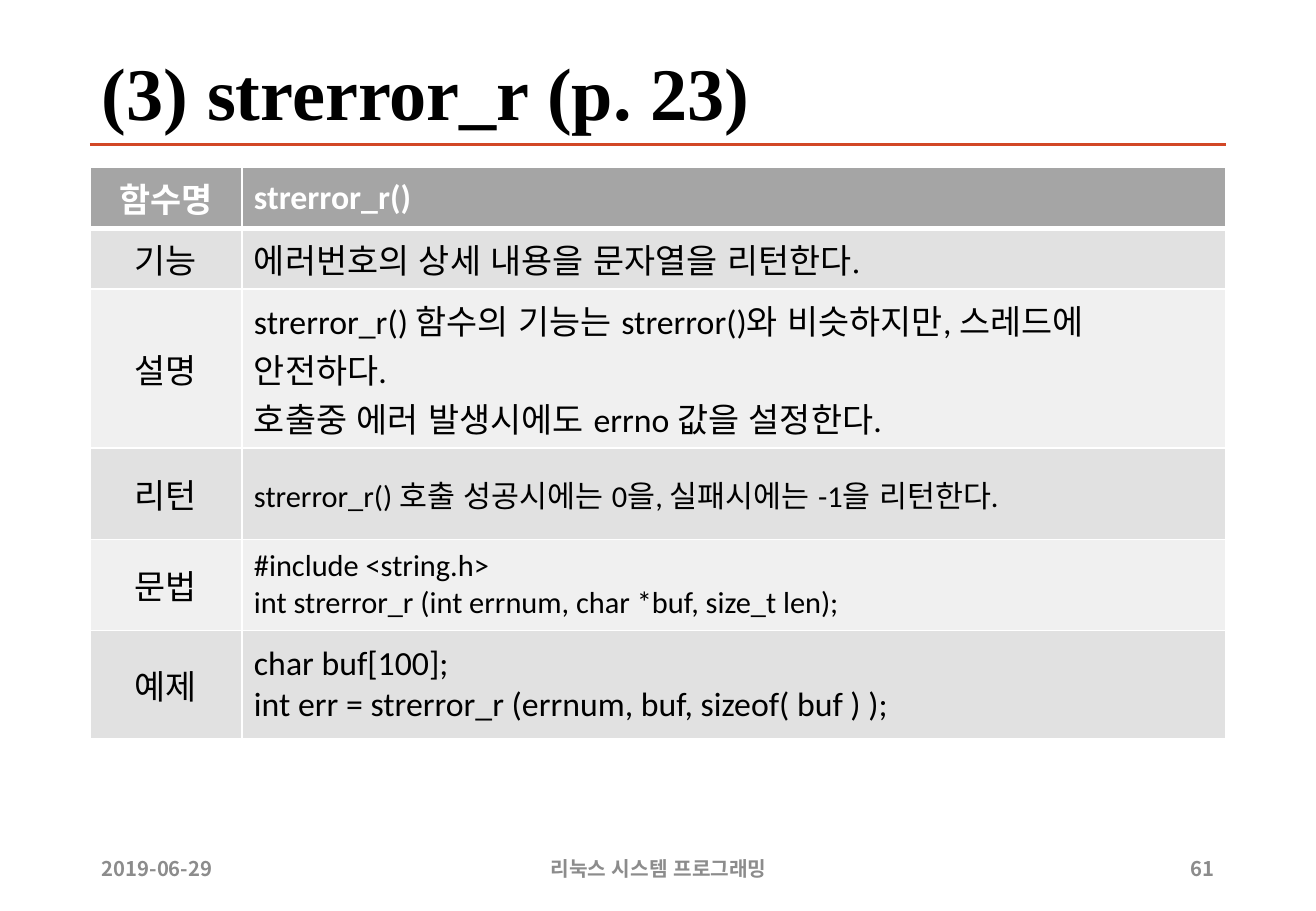
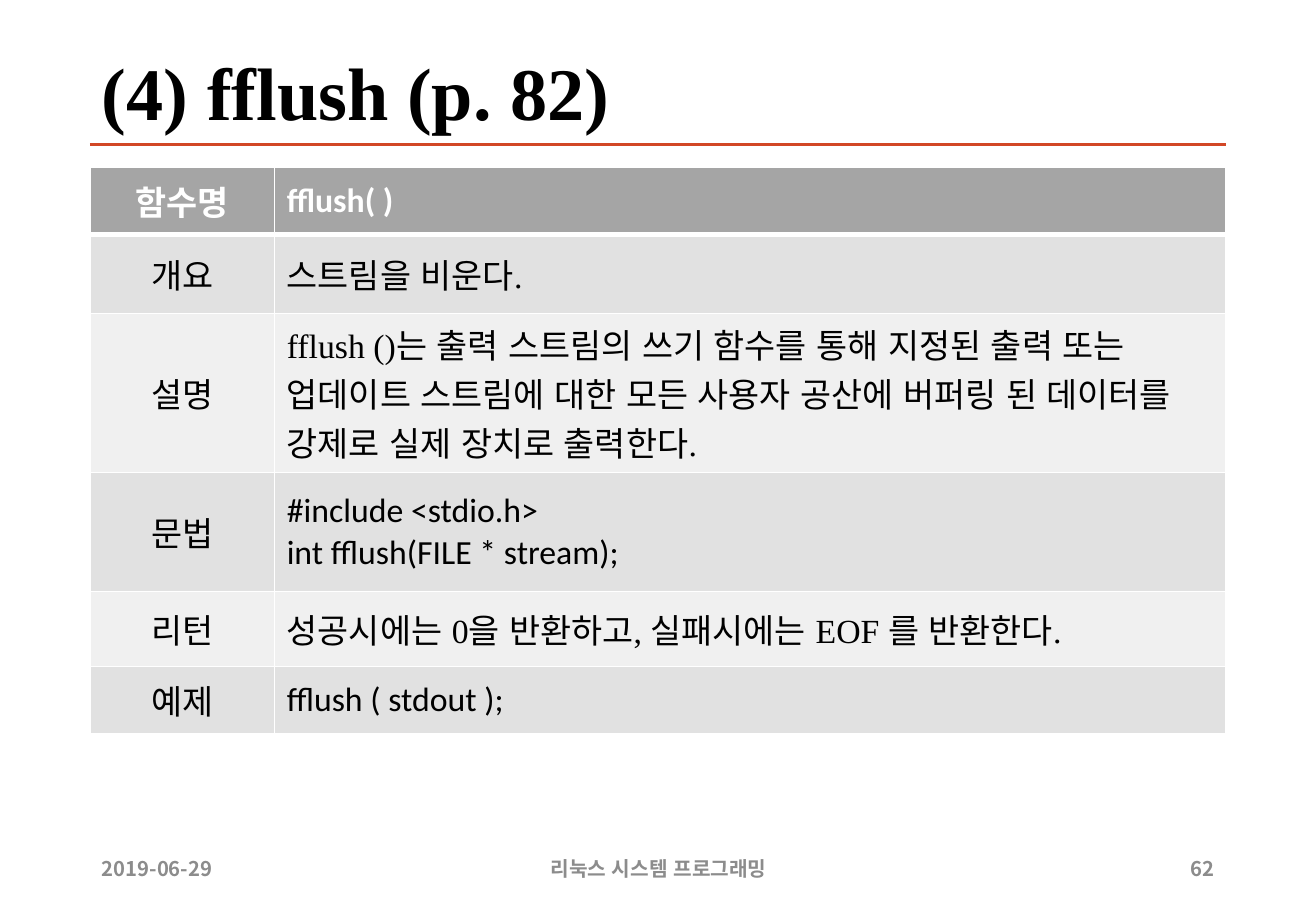
from dataclasses import dataclass

from lxml.etree import SubElement
from pptx import Presentation
from pptx.dml.color import RGBColor
from pptx.enum.lang import MSO_LANGUAGE_ID as Language
from pptx.enum.shapes import MSO_CONNECTOR as Connector
from pptx.enum.text import MSO_ANCHOR as Anchor, PP_ALIGN as Align
from pptx.oxml.ns import qn
from pptx.slide import Slide
from pptx.table import _Cell as Cell
from pptx.text.text import TextFrame
from pptx.util import Inches, Pt

# Shared style
WHITE = RGBColor(0xFF, 0xFF, 0xFF)
BLACK = RGBColor(0, 0, 0)
RULE_ORANGE = RGBColor(0xD2, 0x47, 0x26)
FOOTER_GRAY = RGBColor(0x8C, 0x8C, 0x8C)
HEADER_FILL = RGBColor(0xA5, 0xA5, 0xA5)
BAND_FILLS = (RGBColor(0xF0, 0xF0, 0xF0), RGBColor(0xE1, 0xE1, 0xE1))
SANS, SERIF, KOREAN = "Calibri", "Times New Roman", "Noto Sans CJK KR"
LEFT, WIDTH = 0.74, 9.35
THREE_LINES = 1.31
DATE, COURSE = "2019-06-29", "리눅스 시스템 프로그래밍"


@dataclass(frozen=True)
class Row:
    height: float
    label: str
    text: str
    font: str = SANS
    size: int = 20


@dataclass(frozen=True)
class FunctionPage:
    number: int
    title: str
    label_width: float
    rows: tuple[Row, ...]


PAGES = (
    FunctionPage(61, "(3) strerror_r (p. 23)", 1.25, (
        Row(0.5, "함수명", "strerror_r()"),
        Row(0.5, "기능", "에러번호의 상세 내용을 문자열을 리턴한다.", SERIF),
        Row(THREE_LINES, "설명",
            "strerror_r() 함수의 기능는 strerror()와 비슷하지만, 스레드에 안전하다.\n"
            "호출중 에러 발생시에도 errno 값을 설정한다."),
        Row(0.75, "리턴", "strerror_r() 호출 성공시에는 0을, 실패시에는 -1을 리턴한다.", size=18),
        Row(0.75, "문법", "#include <string.h>\n"
                        "int strerror_r (int errnum, char *buf, size_t len);", size=18),
        Row(0.89, "예제", "char buf[100];\n"
                        "int err = strerror_r (errnum, buf, sizeof( buf ) );"),
    )),
    FunctionPage(62, "(4) fflush (p. 82)", 1.52, (
        Row(0.55, "함수명", "fflush( )"),
        Row(0.65, "개요", "스트림을 비운다.", SERIF),
        Row(THREE_LINES, "설명",
            "fflush ()는 출력 스트림의 쓰기 함수를 통해 지정된 출력 또는 업데이트 스트림에 "
            "대한 모든 사용자 공산에 버퍼링 된 데이터를 강제로 실제 장치로 출력한다.", SERIF),
        Row(0.98, "문법", "#include <stdio.h>\nint fflush(FILE * stream);"),
        Row(0.62, "리턴", "성공시에는 0을 반환하고, 실패시에는 EOF 를 반환한다.", SERIF),
        Row(0.55, "예제", "fflush ( stdout );"),
    )),
)


def write_text(frame: TextFrame, text: str, *, font: str = SANS, size: int = 20,
               color: RGBColor = BLACK, bold: bool = False,
               align: Align = Align.LEFT, line_spacing: float = 1.0) -> None:
    frame.word_wrap = True
    for index, line in enumerate(text.split("\n")):
        paragraph = frame.add_paragraph() if index else frame.paragraphs[0]
        paragraph.alignment = align
        paragraph.line_spacing = line_spacing
        run = paragraph.add_run()
        run.text = line
        run.font.name, run.font.size, run.font.bold = font, Pt(size), bold
        run.font.color.rgb = color
        run.font.language_id = Language.KOREAN
        SubElement(run.font._element, qn("a:ea"), typeface=KOREAN)


def add_text(slide: Slide, text: str, left: float, top: float, width: float,
             height: float, **text_format) -> None:
    box = slide.shapes.add_textbox(Inches(left), Inches(top), Inches(width), Inches(height))
    box.text_frame.vertical_anchor = Anchor.MIDDLE
    write_text(box.text_frame, text, **text_format)


def set_borders(cell: Cell, top: int, bottom: int) -> None:
    properties = cell._tc.get_or_add_tcPr()
    for side, points in (("L", 1), ("R", 1), ("T", top), ("B", bottom)):
        line = SubElement(properties, qn(f"a:ln{side}"), w=str(Pt(points)))
        SubElement(SubElement(line, qn("a:solidFill")), qn("a:srgbClr"), val=str(WHITE))


def add_frame(slide: Slide, page: FunctionPage) -> None:
    # Title and rule
    add_text(slide, page.title, LEFT, 0.4, WIDTH, 0.79,
             font=SERIF, size=44, bold=True, line_spacing=0.9)
    rule = slide.shapes.add_connector(Connector.STRAIGHT, Inches(LEFT), Inches(1.19),
                                      Inches(LEFT + WIDTH), Inches(1.19))
    rule.line.color.rgb, rule.line.width = RULE_ORANGE, Pt(2)
    SubElement(rule._element.spPr, qn("a:effectLst"))

    # Footer
    for text, left, width, align in ((DATE, LEFT, 1.27, Align.LEFT),
                                     (COURSE, 3.59, 3.66, Align.CENTER),
                                     (str(page.number), 9.56, 0.53, Align.RIGHT)):
        add_text(slide, text, left, 6.95, width, 0.4, font=KOREAN, size=12,
                 color=FOOTER_GRAY, bold=True, align=align)


def add_function_table(slide: Slide, page: FunctionPage) -> None:
    height = sum(row.height for row in page.rows)
    table = slide.shapes.add_table(len(page.rows), 2, Inches(LEFT), Inches(1.38),
                                   Inches(WIDTH), Inches(height)).table
    table.horz_banding = False
    table.columns[0].width = Inches(page.label_width)
    table.columns[1].width = Inches(WIDTH - page.label_width)
    for index, row in enumerate(page.rows):
        header = index == 0
        table.rows[index].height = Inches(row.height)
        label_cell, text_cell = table.cell(index, 0), table.cell(index, 1)
        for cell in (label_cell, text_cell):
            cell.vertical_anchor = Anchor.MIDDLE
            set_borders(cell, top=3 if index == 1 else 1, bottom=3 if header else 1)
            cell.fill.solid()
            cell.fill.fore_color.rgb = HEADER_FILL if header else BAND_FILLS[index % 2]
        color = WHITE if header else BLACK
        write_text(label_cell.text_frame, row.label, color=color, bold=header,
                   align=Align.CENTER)
        write_text(text_cell.text_frame, row.text, font=row.font, size=row.size,
                   color=color, bold=header)


def main() -> None:
    presentation = Presentation()
    presentation.slide_width, presentation.slide_height = Inches(10.83), Inches(7.5)
    for page in PAGES:
        slide = presentation.slides.add_slide(presentation.slide_layouts[6])
        add_frame(slide, page)
        add_function_table(slide, page)
    presentation.save("out.pptx")


if __name__ == "__main__":
    main()
